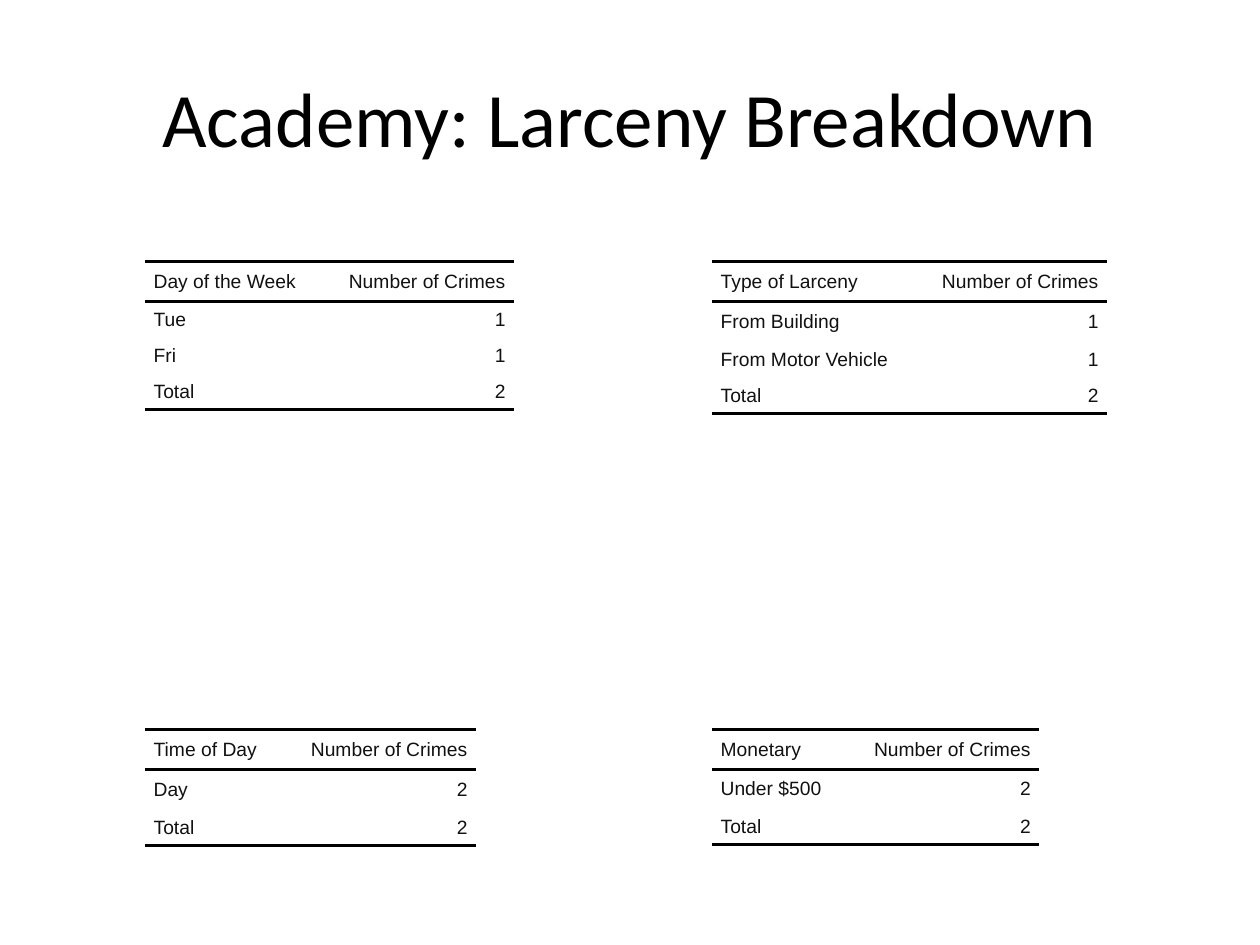
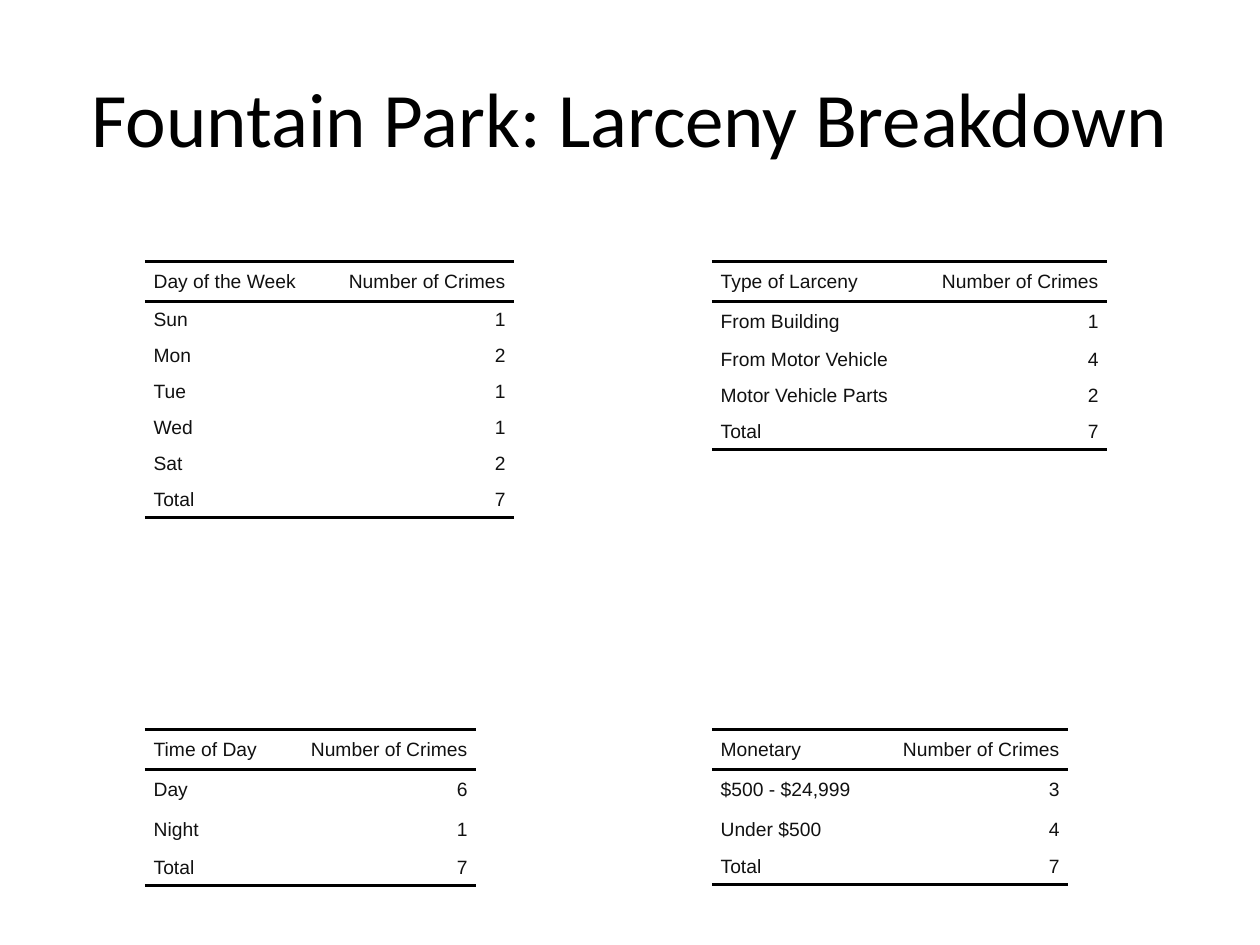
from lxml.etree import SubElement
from pptx import Presentation
from pptx.dml.color import RGBColor
from pptx.enum.text import MSO_ANCHOR, PP_ALIGN
from pptx.oxml.ns import qn
from pptx.util import Pt

TITLE_COLOR = RGBColor(0x00, 0x00, 0x00)
RULE_COLOR = RGBColor(0x00, 0x00, 0x00)
CELL_COLOR = RGBColor(0x11, 0x11, 0x11)
NO_STYLE_NO_GRID = "{2D5ABB26-0587-4C30-8999-92F81FD0307C}"

# Shared layout: two columns and two rows of tables
LEFT, RIGHT = 82.8, 406.8
TOP, BOTTOM = 149.5, 417
COUNT_WIDTH = 109.4
TALL, MEDIUM, SHORT = 22.9, 22.3, 20.6

# Per table: left, top, label column width, heading, rows of (label, count, height)
breakdowns = {
    "Academy: Larceny Breakdown": [
        (LEFT, TOP, 101.7, "Day of the Week",
         [("Tue", 1, SHORT), ("Fri", 1, SHORT), ("Total", 2, SHORT)]),
        (LEFT, BOTTOM, 80, "Time of Day",
         [("Day", 2, TALL), ("Total", 2, SHORT)]),
        (RIGHT, TOP, 116.6, "Type of Larceny",
         [("From Building", 1, TALL), ("From Motor Vehicle", 1, SHORT),
          ("Total", 2, SHORT)]),
        (RIGHT, BOTTOM, 77.8, "Monetary",
         [("Under $500", 2, MEDIUM), ("Total", 2, SHORT)]),
    ],
    "Fountain Park: Larceny Breakdown": [
        (LEFT, TOP, 101.7, "Day of the Week",
         [("Sun", 1, SHORT), ("Mon", 2, SHORT), ("Tue", 1, SHORT),
          ("Wed", 1, SHORT), ("Sat", 2, SHORT), ("Total", 7, SHORT)]),
        (LEFT, BOTTOM, 80, "Time of Day",
         [("Day", 6, TALL), ("Night", 1, TALL), ("Total", 7, SHORT)]),
        (RIGHT, TOP, 116.6, "Type of Larceny",
         [("From Building", 1, TALL), ("From Motor Vehicle", 4, SHORT),
          ("Motor Vehicle Parts", 2, SHORT), ("Total", 7, SHORT)]),
        (RIGHT, BOTTOM, 94.3, "Monetary",
         [("$500 - $24,999", 3, TALL), ("Under $500", 4, MEDIUM),
          ("Total", 7, SHORT)]),
    ],
}


def add_rule(cell, side):
    """Draw a 2 pt rule on one side of a cell: lnT or lnB."""
    line = SubElement(cell._tc.get_or_add_tcPr(), qn(f"a:{side}"), w=str(Pt(2)))
    fill = SubElement(line, qn("a:solidFill"))
    SubElement(fill, qn("a:srgbClr"), val=str(RULE_COLOR))


def add_breakdown(slide, left, top, label_width, heading, rows):
    lines = [(heading, "Number of Crimes", TALL)] + rows
    table = slide.shapes.add_table(
        len(lines), 2, Pt(left), Pt(top), Pt(label_width + COUNT_WIDTH),
        Pt(sum(height for _, _, height in lines))).table
    table.first_row = table.horz_banding = False
    table._tbl.tblPr.find(qn("a:tableStyleId")).text = NO_STYLE_NO_GRID
    table.columns[0].width = Pt(label_width)
    table.columns[1].width = Pt(COUNT_WIDTH)

    for r, (label, count, height) in enumerate(lines):
        table.rows[r].height = Pt(height)
        for c, text in enumerate((label, str(count))):
            cell = table.cell(r, c)
            cell.margin_left = cell.margin_right = Pt(5)
            cell.margin_top = cell.margin_bottom = 0
            cell.vertical_anchor = MSO_ANCHOR.MIDDLE
            # Rules above and below the heading and below the total
            if r == 0:
                add_rule(cell, "lnT")
            if r in (0, len(lines) - 1):
                add_rule(cell, "lnB")
            cell.fill.background()
            cell.text = text
            paragraph = cell.text_frame.paragraphs[0]
            paragraph.alignment = PP_ALIGN.RIGHT if c else PP_ALIGN.LEFT
            paragraph.font.name = "Arial"
            paragraph.font.size = Pt(11)
            paragraph.font.color.rgb = CELL_COLOR


prs = Presentation()
prs.slide_width, prs.slide_height = Pt(720), Pt(540)

for heading, tables in breakdowns.items():
    slide = prs.slides.add_slide(prs.slide_layouts[6])

    # Title
    title = slide.shapes.add_textbox(Pt(36), Pt(21.6), Pt(648), Pt(90)).text_frame
    title.word_wrap = True
    title.vertical_anchor = MSO_ANCHOR.MIDDLE
    title.text = heading
    title_line = title.paragraphs[0]
    title_line.alignment = PP_ALIGN.CENTER
    title_line.font.name = "Calibri"
    title_line.font.size = Pt(44)
    title_line.font.color.rgb = TITLE_COLOR

    # Tables
    for breakdown in tables:
        add_breakdown(slide, *breakdown)

prs.save("out.pptx")
